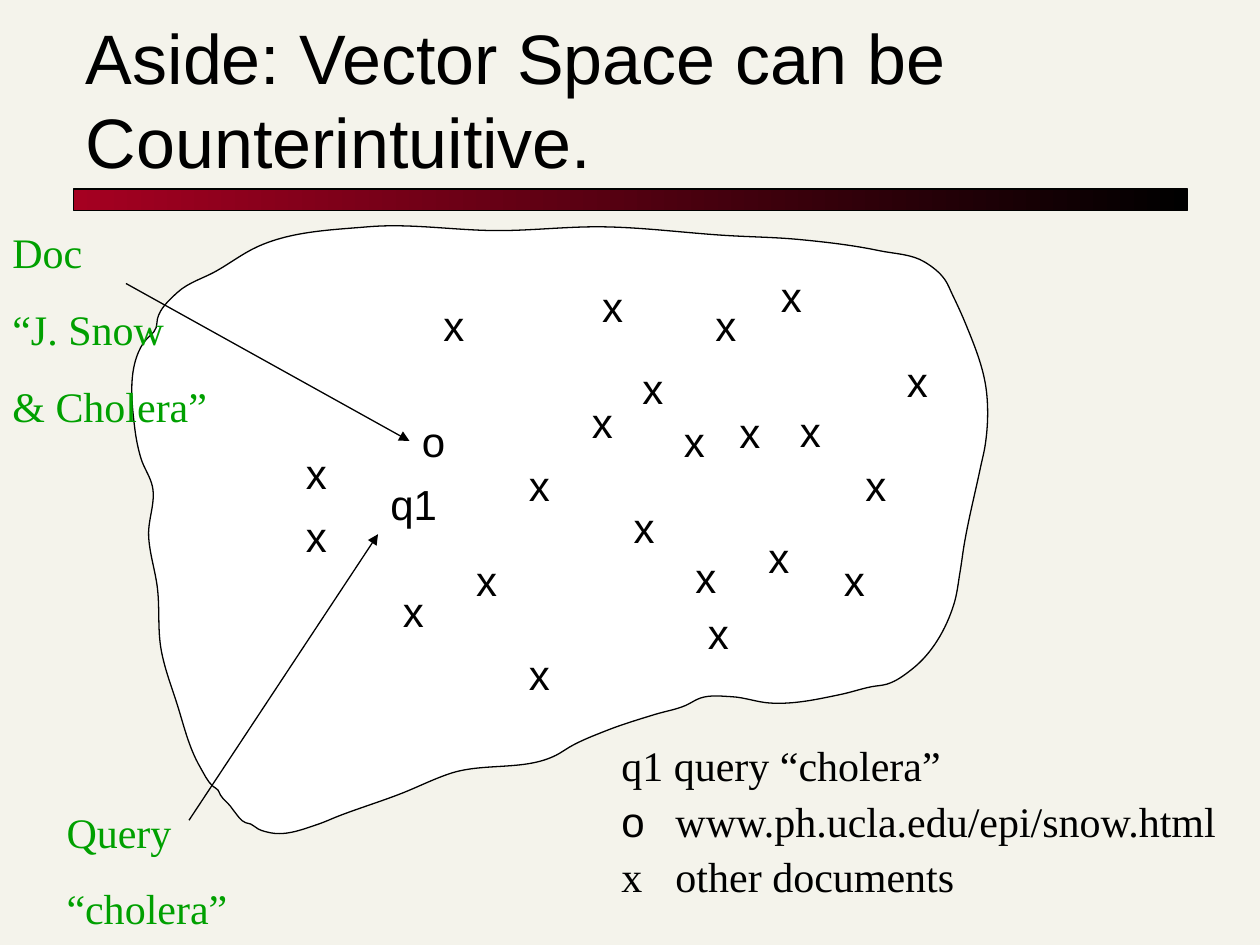
import math
from dataclasses import dataclass

import pptx
import pptx.dml.color
import pptx.enum.dml
import pptx.enum.shapes
import pptx.enum.text
import pptx.oxml
import pptx.oxml.ns
import pptx.util


@dataclass(frozen=True)
class Theme:
    background: str = "F4F3EB"
    ink: str = "000000"
    paper: str = "FFFFFF"
    accent: str = "A50021"
    label: str = "00A000"
    sans: str = "Arial"
    serif: str = "Times New Roman"
    title_size: int = 40
    body_size: int = 24
    line_width: float = 0.75


THEME = Theme()
WIDTH, HEIGHT = pptx.util.Inches(10), pptx.util.Inches(7.5)
COLS, ROWS = 100, 75  # grid over the whole slide

# Left, top and width of each document marker, in grid cells
DOCUMENTS = [
    (41, 36, 3.3), (46, 31, 3.3), (49.3, 39.3, 3.3), (60, 41.7, 3.3),
    (23.3, 35, 6.7), (36.8, 43.5, 6.7), (31, 46, 6.7), (23.3, 40, 6.7),
    (34.2, 23.3, 3.3), (46.8, 21.8, 3.3), (62.5, 31.7, 3.3), (57.7, 31.8, 3.3),
    (50, 28.3, 3.3), (61, 21, 3.3), (53.3, 32.5, 3.3), (55.8, 23.3, 3.3),
    (41, 51, 3.3), (54.2, 43.3, 3.3), (67.7, 36, 3.3), (55.2, 47.7, 3.3),
    (66, 43.5, 3.3), (71, 27.7, 3.3),
]

# Outline of the vector space, in grid cells
SPACE = [
    (15.9, 60.9), (14, 55.7), (12.8, 51.6), (12.5, 46.7), (11.8, 42.5),
    (12.1, 38.6), (11.2, 36.4), (10.7, 34), (11.4, 27.2), (12.4, 26),
    (12.5, 25.3), (14.1, 23.2), (17.2, 21.5), (20.4, 19.6), (29.2, 18),
    (39.9, 18.3), (47.6, 18), (57.8, 18.7), (63.3, 19), (69.8, 19.9),
    (73.4, 20.8), (75, 22.2), (75.6, 23.4), (76.6, 25.6), (78.3, 31.1),
    (78.2, 35.3), (77.8, 37.2), (76.5, 43.4), (76.2, 45.4), (75.7, 48),
    (72.4, 53.1), (70.4, 54.3), (69.2, 54.5), (66.8, 55.1), (61.1, 55.8),
    (58.1, 55.3), (55.6, 55.4), (54.4, 56), (52, 56.7), (48.1, 58),
    (45.2, 59.3), (44.4, 59.8), (35.7, 61.4), (31.8, 63), (26.8, 64.8),
    (25.3, 65.4), (21.5, 66.1), (20.5, 65.8), (19.9, 65.4), (19.5, 65.3),
    (18.6, 64.4), (18.3, 64), (17.5, 63.1), (17.3, 62.7), (16.9, 62.4),
]


def col(n):
    return pptx.util.Emu(round(WIDTH * n / COLS))


def row(n):
    return pptx.util.Emu(round(HEIGHT * n / ROWS))


def rgb(color):
    return pptx.dml.color.RGBColor.from_string(color)


def add_child(parent, tag, **attributes):
    child = parent.makeelement(pptx.oxml.ns.qn(tag), attributes)
    parent.append(child)
    return child


def set_line(sp):
    sp.line.color.rgb = rgb(THEME.ink)
    sp.line.width = pptx.util.Pt(THEME.line_width)


def add_text(s, paragraphs, x, y, w, h, *, font=THEME.sans, size=THEME.body_size,
             color=THEME.ink, gap=0, anchor="TOP", tab=None):
    """Each paragraph is a string, or a list of (text, font) runs."""
    tf = s.shapes.add_textbox(col(x), row(y), col(w), row(h)).text_frame
    tf.word_wrap = True
    tf.auto_size = pptx.enum.text.MSO_AUTO_SIZE.SHAPE_TO_FIT_TEXT
    tf.vertical_anchor = pptx.enum.text.MSO_ANCHOR[anchor]
    for i, runs in enumerate(paragraphs):
        p = tf.add_paragraph() if i else tf.paragraphs[0]
        if i:
            p.space_before = pptx.util.Pt(gap)
        if tab and i:
            stops = add_child(p._p.get_or_add_pPr(), "a:tabLst")
            add_child(stops, "a:tab", pos=str(col(tab)), algn="l")
        for text, face in [(runs, font)] if isinstance(runs, str) else runs:
            r = p.add_run()
            r.text = text
            r.font.name = face
            r.font.size = pptx.util.Pt(size)
            r.font.color.rgb = rgb(color)


def add_rule(s, x, y, w, h):
    sp = s.shapes.add_shape(pptx.enum.shapes.MSO_SHAPE.RECTANGLE,
                            col(x), row(y), col(w), row(h))
    sp.shadow.inherit = False
    sp.fill.gradient()
    sp.fill.gradient_angle = 0
    for stop, color, place in zip(sp.fill.gradient_stops,
                                  (THEME.accent, THEME.ink), (0, 1)):
        stop.color.rgb = rgb(color)
        stop.position = place
    set_line(sp)


def handle(points, i, reach):
    """Control point beside point i of a closed curve, along its tangent."""
    before, (x, y), after = points[i - 1], points[i], points[(i + 1) % len(points)]
    a, b = math.dist(before, (x, y)), math.dist((x, y), after)
    dx = (x - before[0]) * b / a + (after[0] - x) * a / b
    dy = (y - before[1]) * b / a + (after[1] - y) * a / b
    scale = reach / math.hypot(dx, dy)
    return x + dx * scale, y + dy * scale


def add_outline(s, cells):
    """Closed freeform whose sides are cubic curves."""
    start, *rest = [(col(x), row(y)) for x, y in cells]
    builder = s.shapes.build_freeform(*start)
    builder.add_line_segments(rest + [start], close=True)
    sp = builder.convert_to_shape()
    points = [(x - sp.left, y - sp.top) for x, y in (start, *rest)]
    sides = list(sp._element.iter(pptx.oxml.ns.qn("a:lnTo")))
    for i, side in enumerate(sides):
        j = (i + 1) % len(points)
        reach = math.dist(points[i], points[j]) / 3
        curve = side.makeelement(pptx.oxml.ns.qn("a:cubicBezTo"), {})
        for x, y in (handle(points, i, reach), handle(points, j, -reach), points[j]):
            add_child(curve, "a:pt", x=str(round(x)), y=str(round(y)))
        side.getparent().replace(side, curve)
    sp.shadow.inherit = False
    sp.fill.solid()
    sp.fill.fore_color.rgb = rgb(THEME.paper)
    set_line(sp)


def add_arrow(s, x1, y1, x2, y2):
    sp = s.shapes.add_connector(pptx.enum.shapes.MSO_CONNECTOR.STRAIGHT,
                                col(x1), row(y1), col(x2), row(y2))
    set_line(sp)
    add_child(sp.line._get_or_add_ln(), "a:tailEnd", type="triangle")
    add_child(sp._element.spPr, "a:effectLst")


def main():
    prs = pptx.Presentation()
    prs.slide_width, prs.slide_height = WIDTH, HEIGHT
    s = prs.slides.add_slide(prs.slide_layouts[6])
    s.background.fill.solid()
    s.background.fill.fore_color.rgb = rgb(THEME.background)

    # Title and the vector space
    add_rule(s, 5.84, 15, 88.4, 1.7)
    add_outline(s, SPACE)
    add_text(s, ["Aside: Vector Space can be Counterintuitive."], 5.84, 0.55, 88.3, 14.4,
             size=THEME.title_size, anchor="BOTTOM")

    # Points in the space
    for x, y, w in DOCUMENTS:
        add_text(s, ["x"], x, y, w, 5)
    add_text(s, ["o"], 32.5, 32.5, 6.7, 5)
    add_text(s, ["q1"], 30, 37.5, 6.7, 5)

    # Labels with their arrows
    label = dict(font=THEME.serif, color=THEME.label, gap=15)
    add_text(s, ["Query", "“cholera”"], 4.3, 63.5, 25.7, 11.1, **label)
    add_arrow(s, 15, 65.1, 30, 42.4)
    add_text(s, ["Doc", "“J. Snow", "& Cholera”"], 0, 17.5, 25.7, 17.2, **label)
    add_arrow(s, 10, 22.5, 32.5, 35)

    # Legend
    add_text(s, ["q1 query “cholera”",
                 [("o", THEME.sans), ("\twww.ph.ucla.edu/epi/snow.html", THEME.serif)],
                 "x\tother documents"],
             48.33, 58.2, 51.7, 13.9, font=THEME.serif, gap=3, tab=4.3)

    prs.save("out.pptx")


if __name__ == "__main__":
    main()
